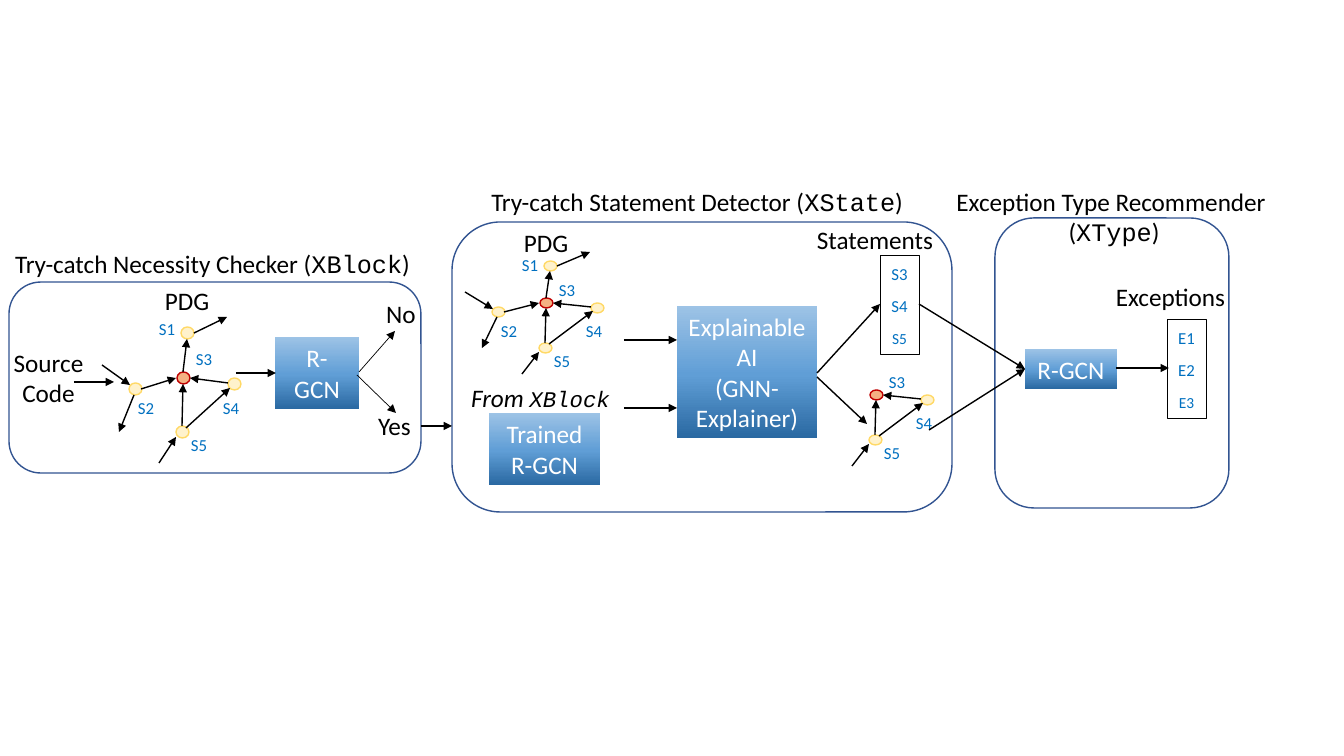
from copy import deepcopy
from dataclasses import dataclass, field

from lxml.etree import SubElement
from pptx import Presentation
from pptx.dml.color import RGBColor as Color
from pptx.enum.shapes import MSO_CONNECTOR as Connector, MSO_SHAPE as Preset
from pptx.enum.text import MSO_ANCHOR as Anchor, PP_ALIGN as Align
from pptx.oxml.ns import qn
from pptx.slide import Slide
from pptx.util import Pt

EMU_PER_PIXEL = 914400 / 100.8


@dataclass
class Theme:
    """Colours, fonts and type sizes of the slide."""
    black: str = "000000"
    white: str = "FFFFFF"
    label: str = "0070C0"
    frame: str = "325491"
    hub: tuple = ("F4B183", "C00000")
    node: tuple = ("FFF2CC", "FFD966")
    gradient: tuple = ((0, "2A69A2"), (0.48, "609ED6"), (1, "9DC3E6"))
    body: dict = field(default_factory=lambda: {"name": "Calibri", "size": Pt(18)})
    small: dict = field(default_factory=lambda: {"name": "Calibri", "size": Pt(12)})
    spaced: dict = field(default_factory=lambda: {"line_spacing": 1.07, "space_after": Pt(8)})


CODE = {"name": "Courier New"}
ITALIC = {"italic": True}

# Offsets from the centre of S3: node centre, then top left of its label.
NODES = {
    "S1": ((4, -45), (-34, -66)),
    "S2": ((-48, 11), (-55, 13)),
    "S3": ((0, 0), (3, -36)),
    "S4": ((51, 6), (30, 13)),
    "S5": ((-1, 54), (-2, 50)),
}
# Nodes an edge touches, then its start and end as offsets from S3.
EDGES = [
    (("S5", "S4"), (3, 50), (47, 10)),
    (("S2",), (-49, 17), (-64, 54)),
    (("S2", "S3"), (-42, 11), (-7, 0)),
    (("S5",), (-24, 85), (-7, 59)),
    (("S5", "S3"), (-1, 48), (0, 6)),
    (("S4", "S3"), (45, 5), (7, 0)),
    (("S3", "S1"), (0, -6), (4, -39)),
    (("S1",), (11, -45), (44, -61)),
    (("S2",), (-81, -13), (-53, 7)),
]


def px(*lengths):
    """Turn pixel lengths into EMU."""
    return [round(length * EMU_PER_PIXEL) for length in lengths]


def apply(target, formats):
    """Set every attribute of a format dict on the target."""
    for name, value in formats.items():
        setattr(target, name, value)


@dataclass
class Diagram:
    """Draws styled elements on the current slide."""
    slide: Slide
    theme: Theme

    def add_words(self, shape, paragraphs, color, font, layout, wrap=True):
        """Fill a shape with paragraphs of plain or (text, format) runs."""
        frame = shape.text_frame
        frame.word_wrap = wrap
        for index, runs in enumerate(paragraphs):
            paragraph = frame.add_paragraph() if index else frame.paragraphs[0]
            apply(paragraph, layout)
            for item in runs:
                text, extra = (item, {}) if isinstance(item, str) else item
                run = paragraph.add_run()
                run.text = text
                apply(run.font, {**font, **extra})
                run.font.color.rgb = Color.from_string(color)

    def text(self, box, *paragraphs):
        """Add a centred caption on fixed lines."""
        shape = self.slide.shapes.add_textbox(*px(*box))
        self.add_words(shape, paragraphs, self.theme.black, self.theme.body,
                       {"alignment": Align.CENTER}, wrap=False)

    def label(self, text, box):
        """Add a small node label."""
        shape = self.slide.shapes.add_textbox(*px(*box))
        self.add_words(shape, [[text]], self.theme.label, self.theme.small, self.theme.spaced)

    def shape(self, preset, box, fill=None, line=None, width=1):
        """Add a preset shape with optional solid fill and outline."""
        shape = self.slide.shapes.add_shape(preset, *px(*box))
        shape.shadow.inherit = False
        if fill:
            shape.fill.solid()
            shape.fill.fore_color.rgb = Color.from_string(fill)
        else:
            shape.fill.background()
        if line:
            shape.line.color.rgb = Color.from_string(line)
            shape.line.width = Pt(width)
        else:
            shape.line.fill.background()
        return shape

    def model(self, box, *paragraphs):
        """Add a gradient box that names a model."""
        shape = self.shape(Preset.RECTANGLE, box)
        shape.fill.gradient()
        shape.fill.gradient_angle = 90
        stops = shape._element.spPr.find(qn("a:gradFill")).find(qn("a:gsLst"))
        stops.append(deepcopy(stops[0]))
        for stop, (position, color) in zip(shape.fill.gradient_stops, self.theme.gradient):
            stop.position = position
            stop.color.rgb = Color.from_string(color)
        self.add_words(shape, paragraphs, self.theme.white, self.theme.body,
                       {"alignment": Align.CENTER})

    def listing(self, box, *names):
        """Add an outlined list whose last entry is slightly smaller."""
        shape = self.shape(Preset.RECTANGLE, box, line=self.theme.black, width=0.25)
        shape.text_frame.vertical_anchor = Anchor.MIDDLE
        paragraphs = [[name] for name in names[:-1]] + [[(names[-1], {"size": Pt(11)})]]
        self.add_words(shape, paragraphs, self.theme.label, self.theme.small,
                       {"alignment": Align.CENTER, **self.theme.spaced})

    def stage(self, box):
        """Add the rounded frame of a stage."""
        self.shape(Preset.ROUNDED_RECTANGLE, box, line=self.theme.frame)

    def arrow(self, start, end, width=1):
        """Add a straight arrow."""
        connector = self.slide.shapes.add_connector(Connector.STRAIGHT, *px(*start, *end))
        connector.line.color.rgb = Color.from_string(self.theme.black)
        connector.line.width = Pt(width)
        properties = connector._element.spPr
        SubElement(properties.find(qn("a:ln")), qn("a:tailEnd"), type="triangle")
        SubElement(properties, qn("a:effectLst"))

    def graph(self, center, names=tuple(NODES), stretch=1.0):
        """Draw the dependence graph of the named statements around S3."""
        def place(offset):
            """Move an offset from S3 to its place on the slide."""
            return center[0] + offset[0], round(center[1] + offset[1] * stretch)

        height = round(12 * stretch)
        for name in names:
            x, y = place(NODES[name][0])
            colors = self.theme.hub if name == "S3" else self.theme.node
            self.shape(Preset.OVAL, (x - 6, y - height // 2, 13, height), *colors)
            self.label(name, (*place(NODES[name][1]), 45, round(31 * stretch)))
        for touched, start, end in EDGES:
            if set(touched) <= set(names):
                self.arrow(place(start), place(end))


def main():
    """Build the three stages and save the presentation."""
    presentation = Presentation()
    presentation.slide_width, presentation.slide_height = px(1344, 756)
    slide = presentation.slides.add_slide(presentation.slide_layouts[6])
    diagram = Diagram(slide, Theme())

    for box in ((9, 282, 412, 191), (452, 222, 500, 290), (995, 218, 234, 290)):
        diagram.stage(box)

    diagram.graph((183, 378))
    diagram.graph((546, 303), stretch=0.83)
    diagram.graph((876, 395), ("S3", "S4", "S5"), stretch=0.83)

    diagram.model((275, 337, 84, 72), ["R-GCN"])
    diagram.model((489, 413, 111, 72), ["Trained R-GCN"])
    diagram.model((677, 306, 140, 132), ["Explainable AI"], ["(GNN-Explainer)"])
    diagram.model((1025, 349, 92, 40), ["R-GCN"])
    diagram.listing((880, 255, 39, 99), "S3", "S4", "S5")
    diagram.listing((1167, 319, 39, 99), "E1", "E2", "E3")

    for start, end in (
        ((74, 382), (114, 382)), ((236, 373), (276, 373)), ((421, 426), (452, 426)),
        ((624, 340), (677, 340)), ((624, 408), (677, 408)),
        ((817, 373), (880, 304)), ((817, 377), (867, 424)),
        ((919, 304), (1025, 369)), ((929, 430), (1025, 369)), ((1116, 368), (1169, 368)),
    ):
        diagram.arrow(start, end)
    diagram.arrow((359, 372), (395, 331), width=0.5)
    diagram.arrow((357, 375), (396, 413), width=0.5)

    for caption, box in (
        ("No", (376, 293, 50, 40)), ("Yes", (368, 405, 53, 40)),
        ("PDG", (154, 280, 66, 40)), ("PDG", (513, 222, 66, 40)),
        ("Statements", (806, 219, 138, 40)), ("Exceptions", (1105, 276, 131, 40)),
    ):
        diagram.text(box, [caption])
    diagram.text((3, 342, 91, 72), ["Source"], ["Code"])
    diagram.text((457, 377, 167, 40),
                 [("From ", ITALIC), ("XBlock", {**CODE, **ITALIC, "size": Pt(16)})])
    diagram.text((3, 243, 419, 40), ["Try-catch Necessity Checker (", ("XBlock", CODE), ")"])
    diagram.text((479, 181, 436, 40), ["Try-catch Statement Detector (", ("XState", CODE), ")"])
    diagram.text((944, 181, 340, 72),
                 ["Exception Type Recommender "], ["(", ("XType", CODE), ")"])

    presentation.save("out.pptx")


main()
